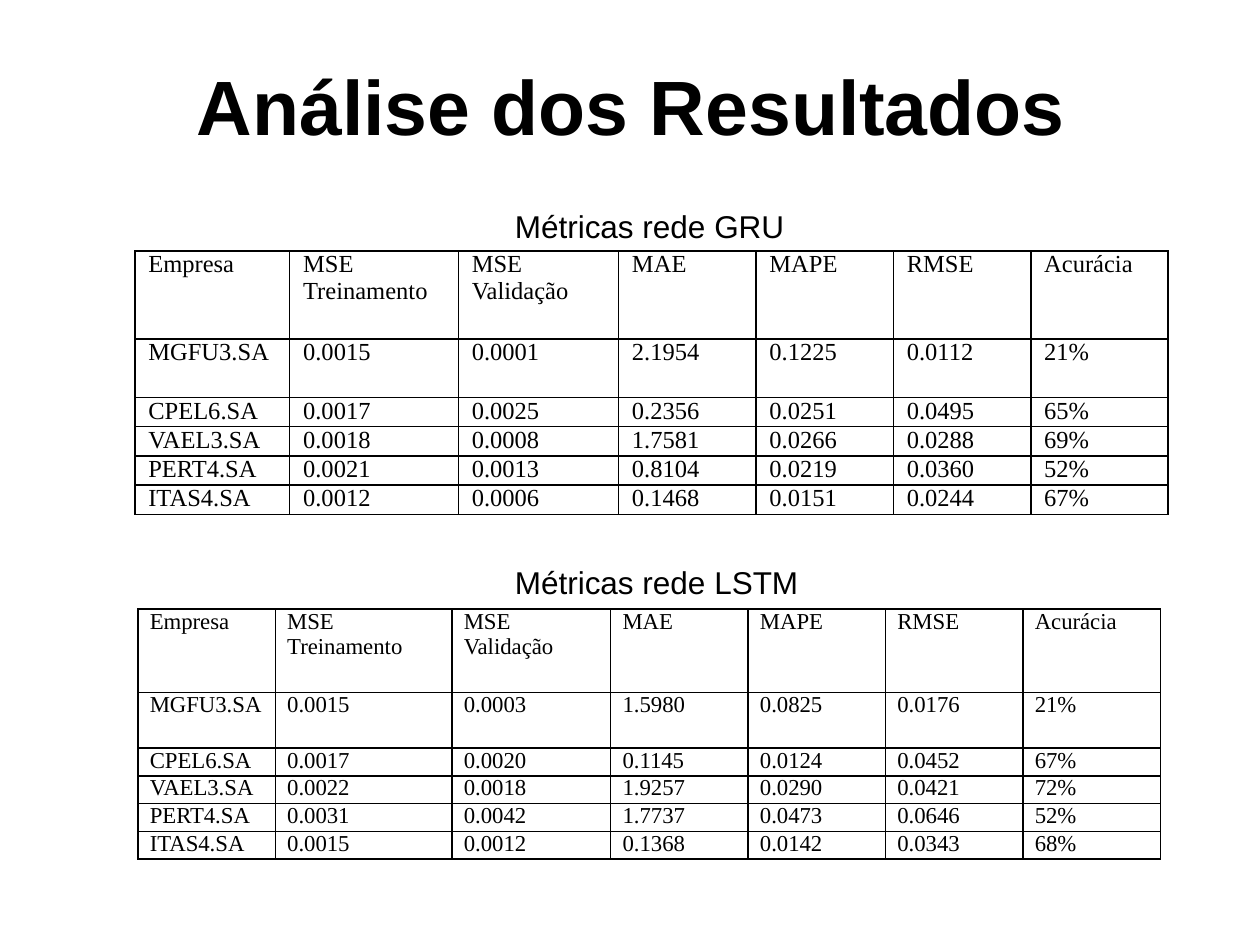
from dataclasses import dataclass

from lxml.etree import SubElement
from pptx import Presentation
from pptx.dml.color import RGBColor
from pptx.enum.text import MSO_ANCHOR, PP_ALIGN
from pptx.oxml.ns import qn
from pptx.slide import Slide
from pptx.text.text import TextFrame
from pptx.util import Cm, Pt

COLORS = {"text": "000000", "border": "000000", "background": "FFFFFF"}
HEADINGS = ["Empresa", "MSE Treinamento", "MSE Validação", "MAE", "MAPE", "RMSE", "Acurácia"]
METRIC_WIDTH = 2.77


@dataclass
class MetricsTable:
    caption: str
    caption_top: float
    caption_width: float
    caption_wraps: bool
    left: float
    top: float
    label_widths: list[float]
    line_height: float
    font_size: int
    margin: float
    rows: list[list[str]]


METRICS_TABLES = [
    MetricsTable(
        "Métricas rede GRU", 4.04, 6, False, 2.72, 5.06, [3.12, 3.4, 3.23], 0.59, 14, 0.27,
        [
            ["MGFU3.SA", "0.0015", "0.0001", "2.1954", "0.1225", "0.0112", "21%"],
            ["CPEL6.SA", "0.0017", "0.0025", "0.2356", "0.0251", "0.0495", "65%"],
            ["VAEL3.SA", "0.0018", "0.0008", "1.7581", "0.0266", "0.0288", "69%"],
            ["PERT4.SA", "0.0021", "0.0013", "0.8104", "0.0219", "0.0360", "52%"],
            ["ITAS4.SA", "0.0012", "0.0006", "0.1468", "0.0151", "0.0244", "67%"],
        ],
    ),
    MetricsTable(
        "Métricas rede LSTM", 11.22, 12.7, True, 2.78, 12.28, [2.77, 3.56, 3.2], 0.56, 13, 0.24,
        [
            ["MGFU3.SA", "0.0015", "0.0003", "1.5980", "0.0825", "0.0176", "21%"],
            ["CPEL6.SA", "0.0017", "0.0020", "0.1145", "0.0124", "0.0452", "67%"],
            ["VAEL3.SA", "0.0022", "0.0018", "1.9257", "0.0290", "0.0421", "72%"],
            ["PERT4.SA", "0.0031", "0.0042", "1.7737", "0.0473", "0.0646", "52%"],
            ["ITAS4.SA", "0.0015", "0.0012", "0.1368", "0.0142", "0.0343", "68%"],
        ],
    ),
]


def write_text(text_frame: TextFrame, text: str, font_name: str, size: int, bold: bool = False) -> None:
    text_frame.text = text
    font = text_frame.paragraphs[0].runs[0].font
    font.name = font_name
    font.size = Pt(size)
    font.bold = bold
    font.color.rgb = RGBColor.from_string(COLORS["text"])


def format_cell(cell, margin: float) -> None:
    cell.margin_left = cell.margin_right = Cm(margin)
    cell.margin_top = cell.margin_bottom = 0
    properties = cell._tc.get_or_add_tcPr()
    for side in ("L", "R", "T", "B"):
        line = SubElement(properties, qn(f"a:ln{side}"), w=str(Pt(1)))
        fill = SubElement(line, qn("a:solidFill"))
        SubElement(fill, qn("a:srgbClr"), val=COLORS["border"])
    cell.fill.background()


def add_caption(slide: Slide, metrics: MetricsTable) -> None:
    caption = slide.shapes.add_textbox(
        Cm(10.13), Cm(metrics.caption_top), Cm(metrics.caption_width), Cm(1.02)
    )
    caption.text_frame.word_wrap = metrics.caption_wraps
    write_text(caption.text_frame, metrics.caption, "Arial", 18)


def add_metrics_table(slide: Slide, metrics: MetricsTable) -> None:
    contents = [HEADINGS, *metrics.rows]
    widths = metrics.label_widths + [METRIC_WIDTH] * 4
    heights = [metrics.line_height * lines for lines in (3, 2, 1, 1, 1, 1)]
    table = slide.shapes.add_table(
        len(contents), len(HEADINGS),
        Cm(metrics.left), Cm(metrics.top), Cm(sum(widths)), Cm(sum(heights)),
    ).table
    table.first_row = table.horz_banding = False
    for column, width in zip(table.columns, widths):
        column.width = Cm(width)
    for row, height, texts in zip(table.rows, heights, contents):
        row.height = Cm(height)
        for cell, text in zip(row.cells, texts):
            write_text(cell.text_frame, text, "Times New Roman", metrics.font_size)
            format_cell(cell, metrics.margin)


def add_title(slide: Slide) -> None:
    title = slide.shapes.title
    title.left, title.top, title.width, title.height = Cm(1.3), Cm(0.53), Cm(22.86), Cm(3.18)
    title.text_frame.vertical_anchor = MSO_ANCHOR.MIDDLE
    write_text(title.text_frame, "Análise dos Resultados", "Arial", 44, bold=True)
    title.text_frame.paragraphs[0].alignment = PP_ALIGN.CENTER


def main() -> None:
    presentation = Presentation()
    presentation.slide_width, presentation.slide_height = Cm(25.4), Cm(19.05)
    slide = presentation.slides.add_slide(presentation.slide_layouts[5])
    slide.background.fill.solid()
    slide.background.fill.fore_color.rgb = RGBColor.from_string(COLORS["background"])
    add_title(slide)
    for metrics in METRICS_TABLES:
        add_metrics_table(slide, metrics)
    for metrics in METRICS_TABLES:
        add_caption(slide, metrics)
    presentation.save("out.pptx")


if __name__ == "__main__":
    main()
